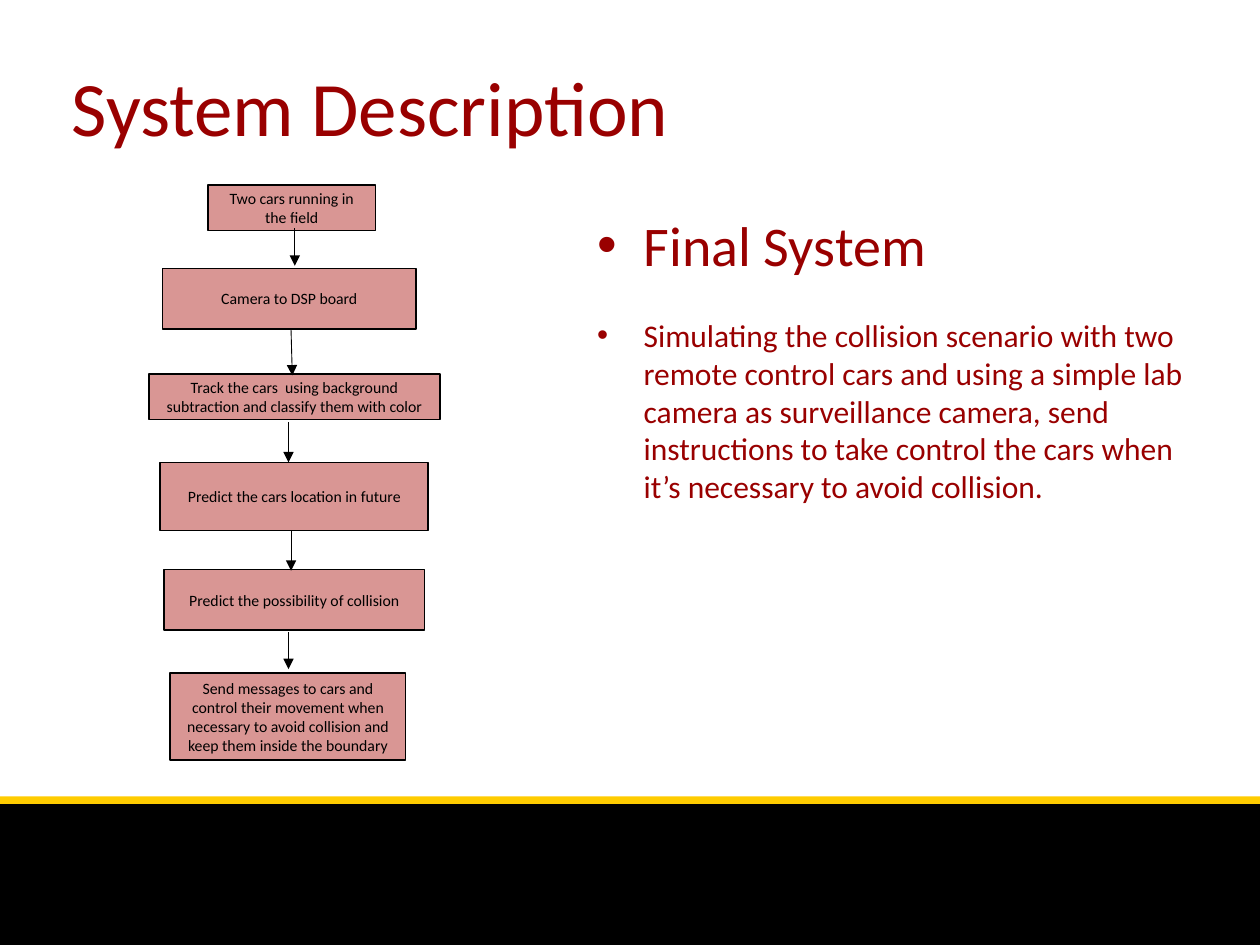
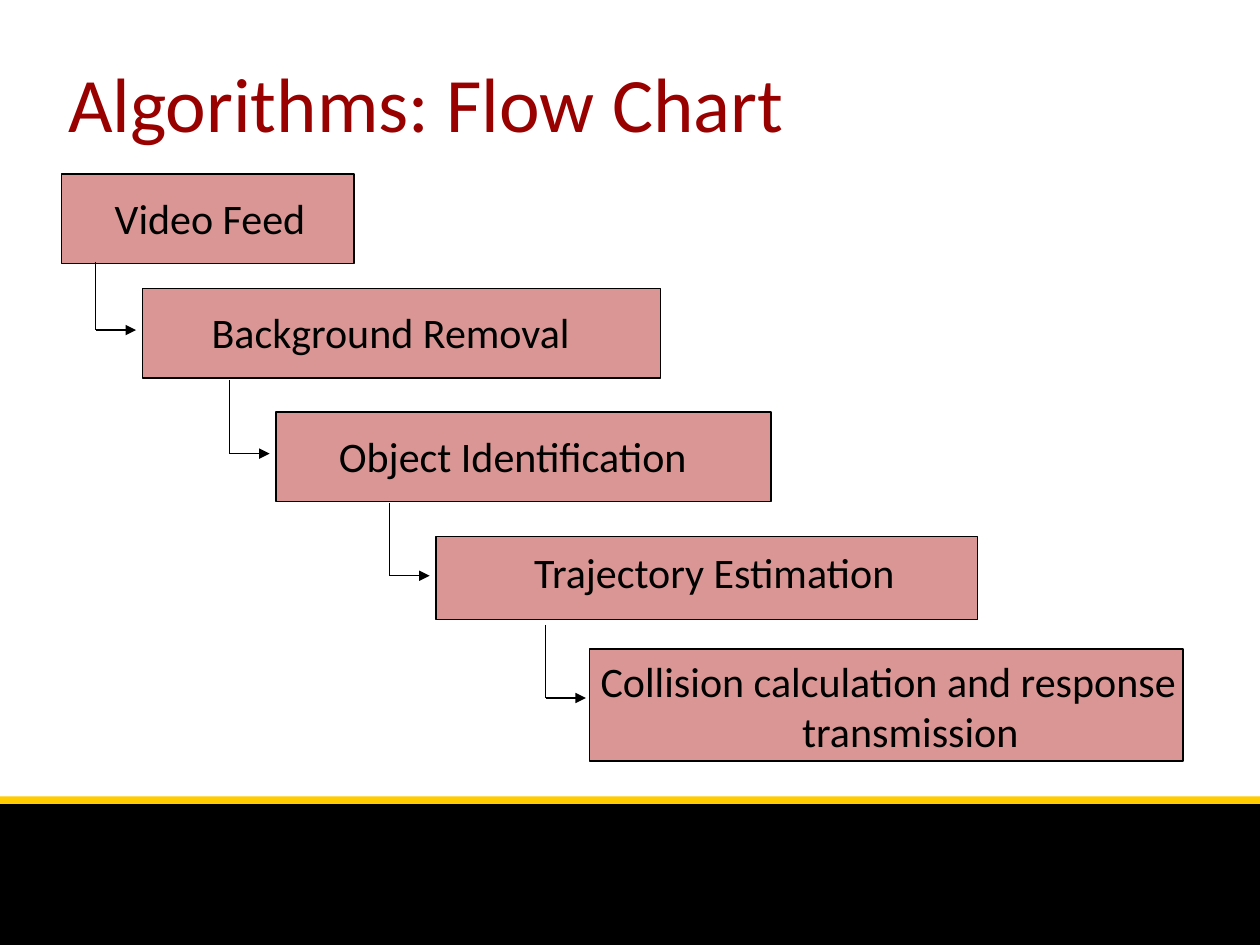
from lxml import etree
from pptx import Presentation
from pptx.dml.color import RGBColor
from pptx.enum.shapes import MSO_CONNECTOR, MSO_SHAPE
from pptx.enum.text import MSO_ANCHOR, PP_ALIGN
from pptx.oxml.ns import qn
from pptx.util import Inches, Pt

RECT = MSO_SHAPE.RECTANGLE
STRAIGHT = MSO_CONNECTOR.STRAIGHT
LEFT, CENTER = PP_ALIGN.LEFT, PP_ALIGN.CENTER
TOP, MIDDLE = MSO_ANCHOR.TOP, MSO_ANCHOR.MIDDLE

COLORS = {
    "paper": "FFFFFF",
    "ink": "000000",
    "gold": "FFCC00",
    "crimson": "990000",
    "rose": "D99694",
}
FONT = "Calibri"
WIDE_INSETS = (0.1, 0.05, 0.1, 0.05)
BOX_INSETS = (0.08, 0.04, 0.08, 0.04)
TITLE_INSETS = (0, 0.04, 0, 0)
LABEL_INSETS = (0, 0.03, 0, 0)


def rgb(name):
    return RGBColor.from_string(COLORS[name])


class Deck:
    def __init__(self):
        self.presentation = Presentation()
        self.presentation.slide_width = Inches(10)
        self.presentation.slide_height = Inches(7.5)
        self.slide = None

    def new_slide(self):
        self.slide = self.presentation.slides.add_slide(self.presentation.slide_layouts[6])
        background = self.slide.background.fill
        background.solid()
        background.fore_color.rgb = rgb("paper")
        self.box((0, 6.35, 10, 1.15), "ink")
        self.box((0, 6.32, 10, 0.06), "gold")

    def box(self, at, fill="rose", line_width=None):
        shape = self.slide.shapes.add_shape(RECT, *map(Inches, at))
        shape.shadow.inherit = False
        shape.fill.solid()
        shape.fill.fore_color.rgb = rgb(fill)
        if line_width:
            shape.line.color.rgb = rgb("ink")
            shape.line.width = Pt(line_width)
        else:
            shape.line.fill.background()
        return shape

    def frame(self, shape, insets, anchor=TOP):
        frame = shape.text_frame
        frame.word_wrap = True
        frame.vertical_anchor = anchor
        (frame.margin_left, frame.margin_top,
         frame.margin_right, frame.margin_bottom) = map(Inches, insets)
        return frame

    def text_box(self, at, insets, anchor=TOP):
        return self.frame(self.slide.shapes.add_textbox(*map(Inches, at)), insets, anchor)

    def fill_paragraph(self, paragraph, text, size, color="ink", align=LEFT,
                       indent=None, bullet=None):
        paragraph.text = text
        paragraph.alignment = align
        properties = paragraph._p.get_or_add_pPr()
        if indent:
            margin, first_line = indent
            properties.set("marL", str(Inches(margin)))
            properties.set("indent", str(Inches(first_line)))
        if bullet:
            etree.SubElement(properties, qn("a:buFont"), typeface="Arial")
            etree.SubElement(properties, qn("a:buChar"), char=bullet)
        paragraph.font.name = FONT
        paragraph.font.size = Pt(size)
        paragraph.font.color.rgb = rgb(color)

    def title(self, text, at, insets, anchor=TOP):
        paragraph = self.text_box(at, insets, anchor).paragraphs[0]
        self.fill_paragraph(paragraph, text, 44, "crimson")

    def process(self, text, at):
        frame = self.frame(self.box(at, line_width=1), BOX_INSETS, MIDDLE)
        self.fill_paragraph(frame.paragraphs[0], text, 9, align=CENTER)

    def label(self, text, at, align):
        paragraph = self.text_box(at, LABEL_INSETS).paragraphs[0]
        self.fill_paragraph(paragraph, text, 24, align=align, indent=(0.47, -0.35))

    def bullets(self, at, items, gap):
        frame = self.text_box(at, WIDE_INSETS)
        for index, (text, size) in enumerate(items):
            paragraph = frame.add_paragraph() if index else frame.paragraphs[0]
            if index:
                paragraph.space_before = Pt(gap)
            self.fill_paragraph(paragraph, text, size, "crimson",
                                indent=(0.38, -0.37), bullet="•")

    def line(self, start, end, width, arrow=False):
        connector = self.slide.shapes.add_connector(STRAIGHT, *map(Inches, start + end))
        connector.line.color.rgb = rgb("ink")
        connector.line.width = Pt(width)
        properties = connector._element.spPr
        if arrow:
            etree.SubElement(properties.find(qn("a:ln")), qn("a:tailEnd"), type="triangle")
        etree.SubElement(properties, qn("a:effectLst"))

    def elbow(self, x, top, y):
        self.line((x, top), (x, y), 0.75)
        self.line((x, y), (x + 0.32, y), 0.75, arrow=True)


def system_description(deck):
    deck.new_slide()
    deck.title("System Description", (0.47, 0.42, 7.05, 0.82), WIDE_INSETS)
    stages = [
        ("Two cars running in the field", (1.65, 1.47, 1.33, 0.36)),
        ("Camera to DSP board", (1.29, 2.13, 2.01, 0.48)),
        ("Track the cars  using background subtraction and classify them with color",
         (1.18, 2.97, 2.31, 0.36)),
        ("Predict the cars location in future", (1.27, 3.67, 2.13, 0.54)),
        ("Predict the possibility of collision", (1.3, 4.52, 2.07, 0.48)),
        ("Send messages to cars and control their movement when necessary to avoid "
         "collision and keep them inside the boundary", (1.35, 5.34, 1.87, 0.69)),
    ]
    for text, at in stages:
        deck.process(text, at)
    flows = [
        ((2.34, 1.81), (2.34, 2.11)),
        ((2.31, 2.62), (2.32, 2.98)),
        ((2.29, 3.35), (2.29, 3.67)),
        ((2.31, 4.21), (2.31, 4.53)),
        ((2.29, 5.02), (2.29, 5.31)),
    ]
    for start, end in flows:
        deck.line(start, end, 0.5, arrow=True)
    deck.bullets((4.63, 1.62, 5.12, 4.41), [
        ("Final System", 32),
        ("Simulating the collision scenario with two remote control cars and using a "
         "simple lab camera as surveillance camera, send instructions to take control "
         "the cars when it’s necessary to avoid collision.", 18),
    ], gap=22)


def flow_chart(deck):
    deck.new_slide()
    deck.title("Algorithms: Flow Chart", (0.54, 0.16, 9, 1.25), TITLE_INSETS, MIDDLE)
    steps = [
        ("Video Feed", (0.49, 1.38, 2.32, 0.71), (0.79, 1.5, 1.75, 0.45), LEFT),
        ("Background Removal", (1.13, 2.29, 4.11, 0.71), (1.56, 2.4, 3, 0.45), LEFT),
        ("Object Identification", (2.19, 3.27, 3.93, 0.71), (2.57, 3.39, 3.17, 0.45), LEFT),
        ("Trajectory Estimation", (3.46, 4.26, 4.3, 0.66), (3.91, 4.31, 3.4, 0.65), CENTER),
        ("Collision calculation and response transmission",
         (4.68, 5.15, 4.71, 0.89), (4.62, 5.17, 4.74, 0.9), CENTER),
    ]
    for text, box_at, label_at, align in steps:
        deck.box(box_at, line_width=0.75)
        deck.label(text, label_at, align)
    for x, top, y in [(0.76, 2.08, 2.62), (1.82, 3.02, 3.6),
                      (3.09, 3.99, 4.57), (4.33, 4.96, 5.54)]:
        deck.elbow(x, top, y)


def main():
    deck = Deck()
    system_description(deck)
    flow_chart(deck)
    deck.presentation.save("out.pptx")


if __name__ == "__main__":
    main()
